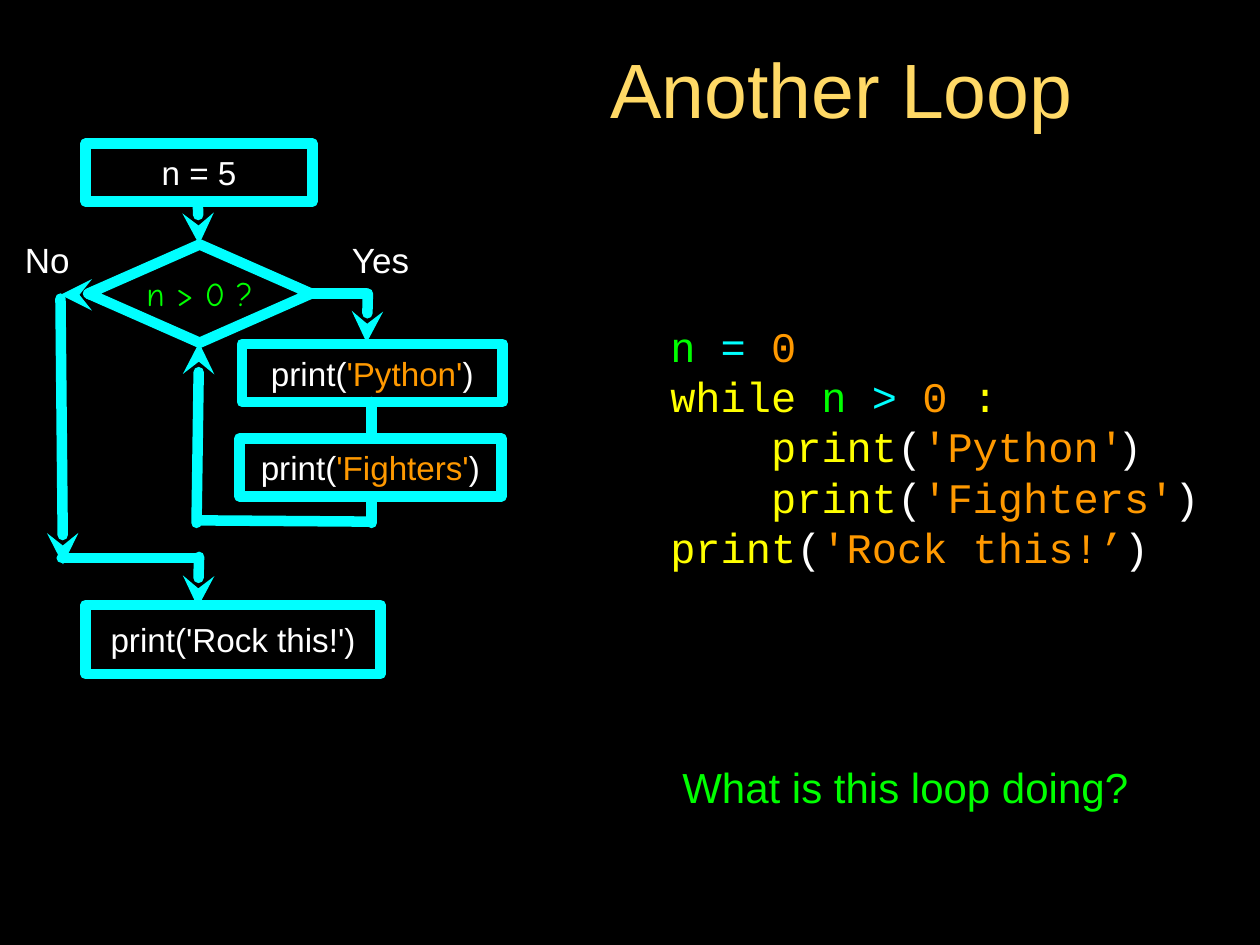
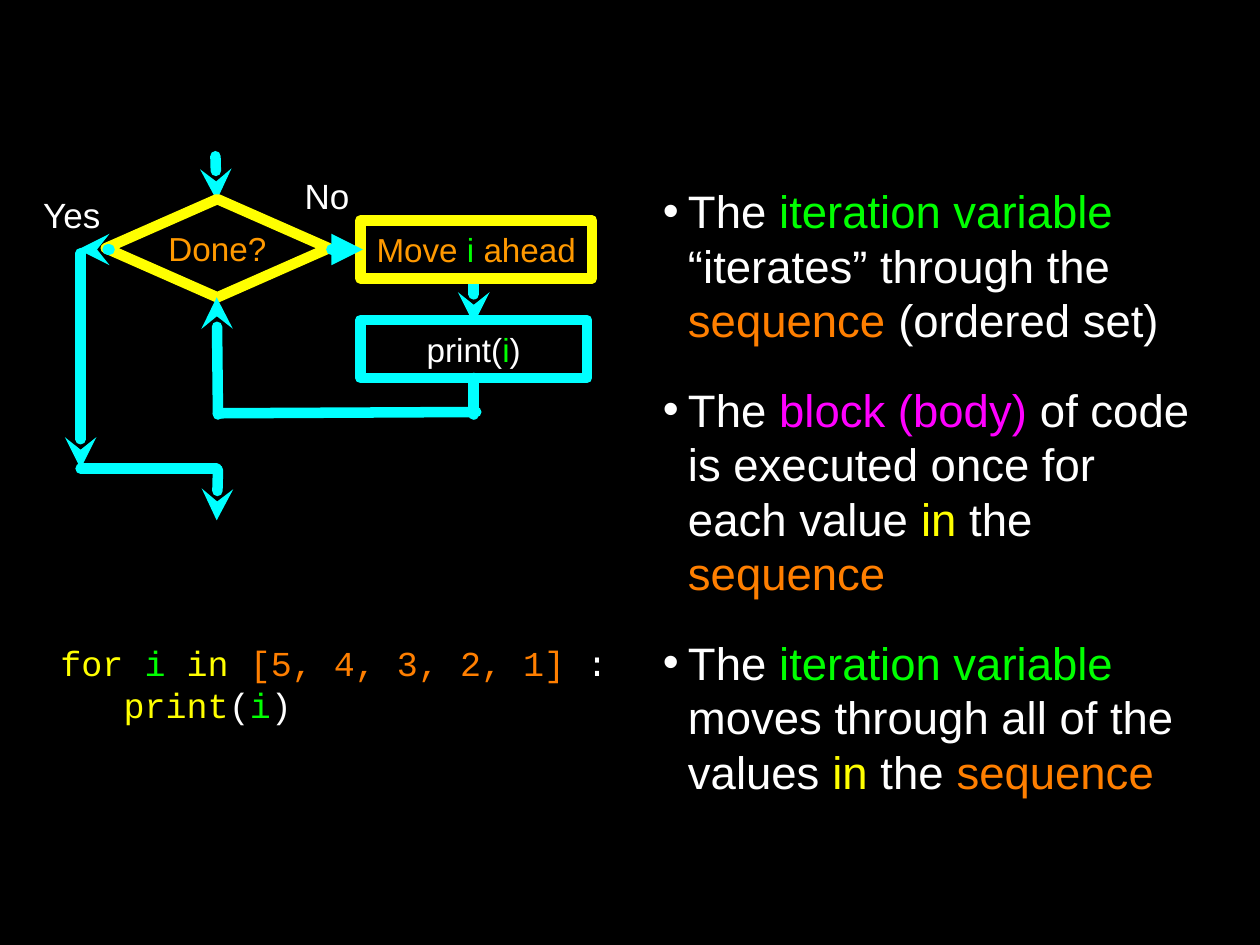
"""Build two slides that explain loops with flowcharts and code."""
import dataclasses
import typing

import lxml.etree
import pptx
import pptx.dml.color
import pptx.enum.shapes
import pptx.enum.text
import pptx.oxml.ns
import pptx.util

SHAPE = pptx.enum.shapes.MSO_SHAPE
ALIGN = pptx.enum.text.PP_ALIGN
qn = pptx.oxml.ns.qn


@dataclasses.dataclass(frozen=True)
class Theme:
    """Colours, fonts and sizes shared by all slides."""
    black: str = "000000"
    white: str = "FFFFFF"
    gold: str = "FFD966"
    cyan: str = "00FFFF"
    yellow: str = "FFFF00"
    green: str = "00FF00"
    amber: str = "FF9900"
    orange: str = "FF7F00"
    magenta: str = "FF00FF"
    sans: str = "Arial"
    mono: str = "Courier New"
    comic: str = "Comic Neue"
    title: int = 44
    bullet: int = 26
    large: int = 24
    label: int = 20
    node: int = 19
    stroke: int = 6
    leading: float = 1.2
    bullet_gap: float = 19.8


THEME = Theme()
COLUMNS, ROWS = 100, 75
WIDTH, HEIGHT = pptx.util.Inches(10), pptx.util.Inches(7.5)


class Area(typing.NamedTuple):
    """A rectangle in grid columns and rows."""
    left: float
    top: float
    width: float
    height: float


class Span(typing.NamedTuple):
    """A piece of text in one colour."""
    text: str
    colour: str = THEME.white
    font: typing.Optional[str] = None


Line = typing.Sequence[Span]


@dataclasses.dataclass(frozen=True)
class Text:
    """A text block with one font and size."""
    area: Area
    lines: typing.Sequence[Line]
    size: int = THEME.label
    font: str = THEME.sans
    align: typing.Any = ALIGN.CENTER
    bullets: bool = False
    inset: float = 0


@dataclasses.dataclass(frozen=True)
class Node:
    """An outlined flowchart step."""
    area: Area
    line: Line
    shape: typing.Any = SHAPE.RECTANGLE
    outline: str = THEME.cyan
    font: str = THEME.sans


@dataclasses.dataclass(frozen=True)
class Link:
    """A flowchart line with an optional arrowhead at its end."""
    start: typing.Tuple[float, float]
    end: typing.Tuple[float, float]
    arrow: typing.Optional[str] = None


def column(value: float) -> int:
    """Convert grid columns to a length."""
    return round(WIDTH * value / COLUMNS)


def row(value: float) -> int:
    """Convert grid rows to a length."""
    return round(HEIGHT * value / ROWS)


def place(area: Area) -> typing.Tuple[int, int, int, int]:
    """Convert a grid area to lengths."""
    return column(area.left), row(area.top), column(area.width), row(area.height)


def rgb(value: str) -> pptx.dml.color.RGBColor:
    """Convert a hex string to a colour."""
    return pptx.dml.color.RGBColor.from_string(value)


def apply(target: typing.Any, values: typing.Dict[str, typing.Any]) -> None:
    """Set attributes from format values."""
    for name, value in values.items():
        setattr(target, name, value)


def add_bullet(para: typing.Any) -> None:
    """Give a paragraph a hanging white bullet."""
    properties = para._p.get_or_add_pPr()
    properties.set("marL", str(column(3)))
    properties.set("indent", str(-column(2)))
    colour = lxml.etree.SubElement(properties, qn("a:buClr"))
    lxml.etree.SubElement(colour, qn("a:srgbClr"), val=THEME.white)
    lxml.etree.SubElement(properties, qn("a:buFont"), typeface=THEME.sans)
    lxml.etree.SubElement(properties, qn("a:buChar"), char="•")


def write(box: typing.Any, text: Text) -> None:
    """Fill a shape's frame with formatted text."""
    frame = box.text_frame
    inset = column(text.inset)
    apply(frame, {
        "word_wrap": True, "vertical_anchor": pptx.enum.text.MSO_ANCHOR.MIDDLE,
        "margin_left": inset, "margin_right": inset,
        "margin_top": inset, "margin_bottom": inset,
    })
    for index, line in enumerate(text.lines):
        para = frame.add_paragraph() if index else frame.paragraphs[0]
        para.alignment = text.align
        if len(text.lines) > 1:
            para.line_spacing = pptx.util.Pt(text.size * THEME.leading)
        if text.bullets:
            if index:
                para.space_before = pptx.util.Pt(THEME.bullet_gap)
            add_bullet(para)
        for part in line:
            span = para.add_run()
            span.text = part.text
            apply(span.font, {"name": part.font or text.font,
                              "size": pptx.util.Pt(text.size)})
            span.font.color.rgb = rgb(part.colour)


def stroke(shape: typing.Any, colour: str, arrow: typing.Optional[str] = None) -> None:
    """Draw a thick outline with round caps and joins."""
    shape.line.color.rgb = rgb(colour)
    shape.line.width = pptx.util.Pt(THEME.stroke)
    outline = shape.line._get_or_add_ln()
    outline.set("cap", "rnd")
    lxml.etree.SubElement(outline, qn("a:round"))
    if arrow:
        lxml.etree.SubElement(outline, qn("a:tailEnd"), type=arrow)


def draw_text(page: typing.Any, text: Text) -> None:
    """Add a text box."""
    write(page.shapes.add_textbox(*place(text.area)), text)


def draw_node(page: typing.Any, node: Node) -> None:
    """Add a flowchart step."""
    box = page.shapes.add_shape(node.shape, *place(node.area))
    box.shadow.inherit = False
    box.fill.background()
    stroke(box, node.outline)
    write(box, Text(node.area, [node.line], THEME.node, node.font))


def draw_link(page: typing.Any, link: Link) -> None:
    """Add a flowchart line."""
    (left, top), (right, bottom) = link.start, link.end
    connector = page.shapes.add_connector(
        pptx.enum.shapes.MSO_CONNECTOR.STRAIGHT,
        column(left), row(top), column(right), row(bottom))
    stroke(connector, THEME.cyan, link.arrow)
    lxml.etree.SubElement(connector._element.spPr, qn("a:effectLst"))


DRAW = {Text: draw_text, Node: draw_node, Link: draw_link}


def call(argument: str, colour: str, name_colour: str = THEME.white,
         indent: str = "", close_font: typing.Optional[str] = None) -> Line:
    """Compose a coloured print call."""
    return [Span(indent + "print", name_colour), Span("("), Span(argument, colour),
            Span(")", THEME.white, close_font)]


def code_call(text: str, indent: str = "", close_font: typing.Optional[str] = None) -> Line:
    """Compose a print call of a string in a code listing."""
    return call(text, THEME.amber, THEME.yellow, indent, close_font)


def while_loop() -> typing.List[typing.Any]:
    """List the parts of the while loop slide."""
    t = THEME
    return [
        Text(Area(40.4, 2.5, 52.8, 8.9), [[Span("Another Loop", t.gold)]], t.title, inset=0.2),
        Text(Area(53.2, 14.2, 43.4, 42.4), [
            [Span("n ", t.green), Span("= ", t.cyan), Span("0", t.amber)],
            [Span("while ", t.yellow), Span("n ", t.green), Span("> ", t.cyan),
             Span("0", t.amber), Span(" :", t.yellow)],
            code_call("'Python'", "    ", t.sans),
            code_call("'Fighters'", "    "),
            code_call("'Rock this!’"),
        ], t.large, t.mono, ALIGN.LEFT),
        Link((15.7, 16), (15.8, 19.4), "stealth"),
        Node(Area(7, 19.4, 17.7, 7.8), [Span("n > 0 ?", t.green)], SHAPE.DIAMOND, font=t.comic),
        Link((15.6, 41.5), (15.8, 27.2), "stealth"),
        Link((29.1, 23.3), (24.1, 23.3)),
        Link((29.2, 23.3), (29.1, 27.2), "stealth"),
        Link((29.5, 39.4), (29.5, 41.5)),
        Link((15.8, 41.3), (29.2, 41.4)),
        Link((7.2, 23.4), (4.8, 23.4), "stealth"),
        Link((15.8, 44.2), (15.7, 48.2), "stealth"),
        Link((4.8, 23.7), (5, 44.8), "stealth"),
        Link((4.9, 44.3), (15.7, 44.3)),
        Link((29.5, 31.9), (29.5, 34.8)),
        Text(Area(1.5, 18.7, 4.5, 3.8), [[Span("No")]]),
        Text(Area(26.9, 18.7, 6.6, 3.8), [[Span("Yes")]]),
        Node(Area(6.8, 48, 23.4, 5.5), [Span("print('Rock this!')")]),
        Node(Area(6.8, 11.4, 18, 4.6), [Span("n = 5")]),
        Node(Area(19.2, 27.3, 20.7, 4.6), call("'Python'", t.amber)),
        Node(Area(19, 34.8, 20.8, 4.6), call("'Fighters'", t.amber)),
        Text(Area(47.1, 58, 49.5, 8.9), [[Span("What is this loop doing?", t.green)]], t.large),
    ]


def for_loop() -> typing.List[typing.Any]:
    """List the parts of the for loop slide."""
    t = THEME
    variable = Span("iteration variable ", t.green)
    in_sequence = [Span("in", t.yellow), Span(" the "), Span("sequence", t.orange)]
    return [
        Link((17.1, 12.4), (17.2, 15.9), "stealth"),
        Node(Area(8.4, 15.8, 17.7, 7.8), [Span("Done?", t.amber)], SHAPE.DIAMOND, t.yellow),
        Link((17.3, 32.9), (17.2, 23.6), "stealth"),
        Link((37.6, 22.1), (37.6, 25.7), "stealth"),
        Link((37.6, 30), (37.6, 32.9)),
        Link((17.3, 32.8), (37.8, 32.7)),
        Link((8.7, 19.8), (6.2, 19.8), "stealth"),
        Link((17.3, 37.3), (17.2, 41.3), "stealth"),
        Link((6.4, 20.1), (6.4, 37.2), "stealth"),
        Link((6.4, 37.2), (17.2, 37.2)),
        Text(Area(3, 15.1, 5.4, 3.8), [[Span("Yes")]]),
        Node(Area(28.6, 25.4, 18, 4.6), call("i", t.green)),
        Text(Area(23.7, 13.6, 4.5, 3.8), [[Span("No")]]),
        Node(Area(28.6, 17.5, 18.4, 4.6),
             [Span("Move ", t.amber), Span("i", t.green), Span(" ahead", t.amber)],
             outline=t.yellow),
        Text(Area(51.4, 6.3, 44.1, 65.3), [
            [Span("The "), variable, Span("“iterates” through the "),
             Span("sequence ", t.orange), Span("(ordered set)")],
            [Span("The "), Span("block (body)", t.magenta),
             Span(" of code is executed once for each value "), *in_sequence],
            [Span("The "), variable, Span("moves through all of the values "), *in_sequence],
        ], t.bullet, align=ALIGN.LEFT, bullets=True, inset=0.2),
        Text(Area(4.8, 39.5, 45.2, 29.5), [
            [Span("for ", t.yellow), Span("i ", t.green), Span("in ", t.yellow),
             Span("[5, 4, 3, 2, 1] ", t.orange), Span(":")],
            call("i", t.green, t.yellow, "   "),
        ], t.label, t.mono, ALIGN.LEFT),
        Link((26.3, 19.8), (28.8, 19.8), "triangle"),
    ]


def main() -> None:
    """Build and save the deck."""
    deck = pptx.Presentation()
    apply(deck, {"slide_width": WIDTH, "slide_height": HEIGHT})
    for parts in (while_loop(), for_loop()):
        page = deck.slides.add_slide(deck.slide_layouts[6])
        page.background.fill.solid()
        page.background.fill.fore_color.rgb = rgb(THEME.black)
        for part in parts:
            DRAW[type(part)](page, part)
    deck.save("out.pptx")


if __name__ == "__main__":
    main()
